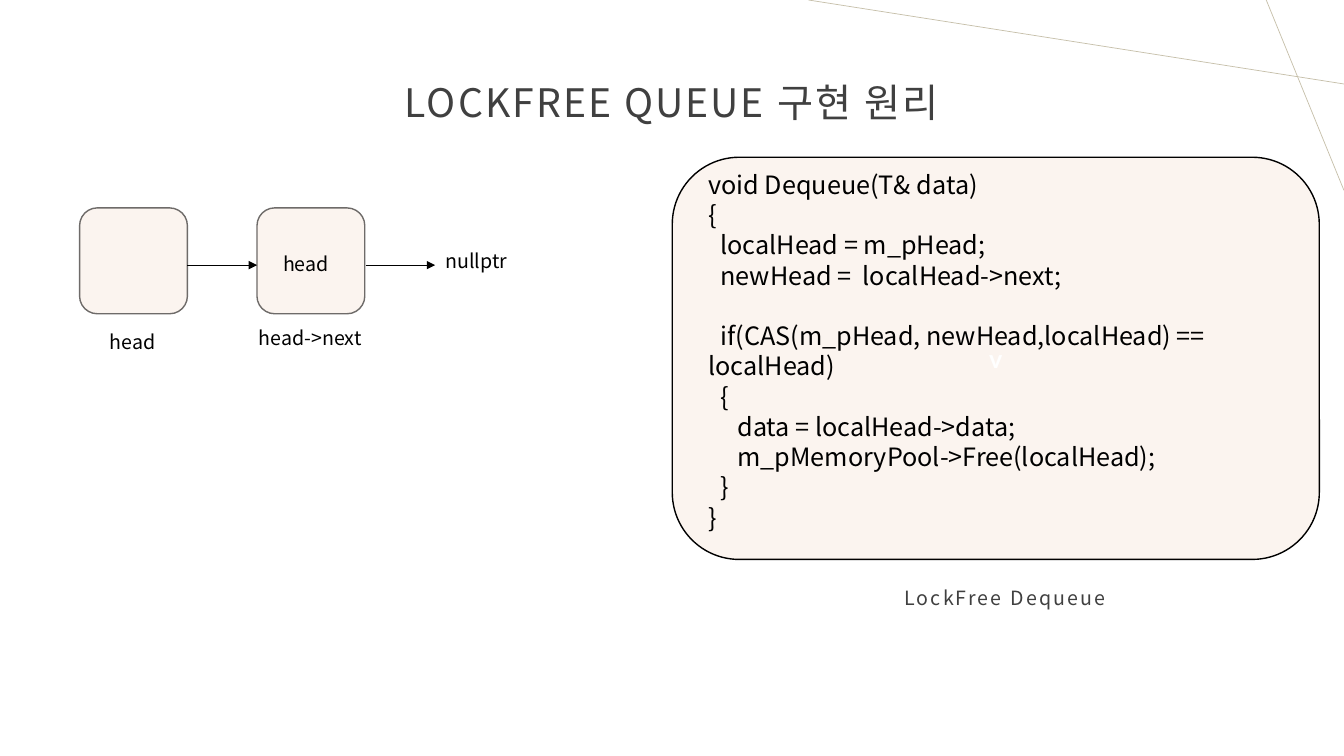
from pptx import Presentation
from pptx.dml.color import RGBColor
from pptx.enum.shapes import MSO_CONNECTOR, MSO_SHAPE
from pptx.enum.text import MSO_ANCHOR, PP_ALIGN
from pptx.oxml.ns import qn
from pptx.util import Pt
from lxml import etree

CENTER, LEFT = PP_ALIGN.CENTER, PP_ALIGN.LEFT
MIDDLE = MSO_ANCHOR.MIDDLE
ROUNDED = MSO_SHAPE.ROUNDED_RECTANGLE
STRAIGHT = MSO_CONNECTOR.STRAIGHT
CJK = "Noto Sans CJK KR"
color = RGBColor.from_string


def write(paragraph, text, size=14, ink="000000", font=CJK, align=LEFT,
          spacing=None, tracking=0, bold=False):
    paragraph.alignment = align
    paragraph.line_spacing = spacing or Pt(size * 1.2)
    run = paragraph.add_run()
    run.text = text
    run.font.size, run.font.name, run.font.bold = Pt(size), font, bold
    run.font.color.rgb = color(ink)
    properties = run.font._element
    properties.set("spc", str(tracking))
    etree.SubElement(properties, qn("a:ea")).set("typeface", font)


def draw_line(x1, y1, x2, y2, ink, arrow=False):
    line = slide.shapes.add_connector(STRAIGHT, Pt(x1), Pt(y1), Pt(x2), Pt(y2))
    line.line.color.rgb = color(ink)
    line.line.width = Pt(0.5)
    if arrow:
        outline = line.line._get_or_add_ln()
        etree.SubElement(outline, qn("a:tailEnd")).set("type", "triangle")
    etree.SubElement(line._element.spPr, qn("a:effectLst"))


deck = Presentation()
deck.slide_width, deck.slide_height = Pt(960), Pt(540)
slide = deck.slides.add_slide(deck.slide_layouts[2])

# Corner lines
draw_line(960, 60, 577.5, 0, "C6BFA9")
draw_line(904.5, 0, 960, 136, "C6BFA9")

# Title and caption
headings = [
    (slide.shapes.title, "LOCKFREE QUEUE 구현 원리", 28, 0, (148.3, 23, 663.1, 104.4)),
    (slide.placeholders[1], "LockFree Dequeue", 14, 10, (633.6, 414, 168.5, 27.4)),
]
for heading, text, size, before, box in headings:
    heading.left, heading.top, heading.width, heading.height = map(Pt, box)
    heading.text_frame.vertical_anchor = MIDDLE
    paragraph = heading.text_frame.paragraphs[0]
    paragraph.space_before = Pt(before)
    write(paragraph, text, size=size, ink="404040", align=CENTER,
          spacing=0.9, tracking=150)

# Code panel and queue nodes
panels = [
    (480.2, 112.3, 462.2, 287.3, "000000", "v"),
    (56.9, 148.5, 77, 75.6, "6E6B69", ""),
    (183.6, 148.5, 77, 75.6, "6E6B69", ""),
]
for left, top, width, height, outline, mark in panels:
    panel = slide.shapes.add_shape(ROUNDED, Pt(left), Pt(top), Pt(width), Pt(height))
    panel.shadow.inherit = False
    panel.fill.solid()
    panel.fill.fore_color.rgb = color("FBF4EF")
    panel.line.color.rgb = color(outline)
    panel.line.width = Pt(1)
    if mark:
        panel.text_frame.vertical_anchor = MIDDLE
        write(panel.text_frame.paragraphs[0], mark, size=18, ink="FFFFFF",
              font="Lato", align=CENTER, bold=True)

# Dequeue code: first-line indent, space before, text
code_lines = [
    (0, 0, "void Dequeue(T& data)"),
    (0, 0, "{"),
    (8.6, 0, "localHead = m_pHead;"),
    (8.6, 0, "newHead =  localHead->next;"),
    (8.6, 21.6, "if(CAS(m_pHead, newHead,localHead) == localHead)"),
    (8.6, 0, "{"),
    (20.7, 0, "data = localHead->data;"),
    (20.7, 0, "m_pMemoryPool->Free(localHead);"),
    (8.6, 0, "}"),
    (0, 0, "}"),
]
code = slide.shapes.add_textbox(Pt(499), Pt(117.4), Pt(460.8), Pt(247)).text_frame
code.word_wrap = True
for number, (indent, before, text) in enumerate(code_lines):
    paragraph = code.add_paragraph() if number else code.paragraphs[0]
    paragraph.space_before = Pt(before)
    write(paragraph, text, size=18)
    properties = paragraph._element.get_or_add_pPr()
    properties.set("marL", "0")
    properties.set("indent", str(Pt(indent)))

# Links between the nodes
for start in (133.9, 261.1):
    draw_line(start, 189.4, start + 49.7, 189.4, "000000", arrow=True)

# Node labels
labels = [
    ("nullptr", 311, 174.2, 77),
    ("head", 71.3, 231.8, 71.3),
    ("head->next", 177.8, 229, 88.6),
    ("head", 195.1, 176.6, 71.3),
]
for text, left, top, width in labels:
    label = slide.shapes.add_textbox(Pt(left), Pt(top), Pt(width), Pt(24.2)).text_frame
    label.word_wrap = True
    write(label.paragraphs[0], text)

deck.save("out.pptx")
